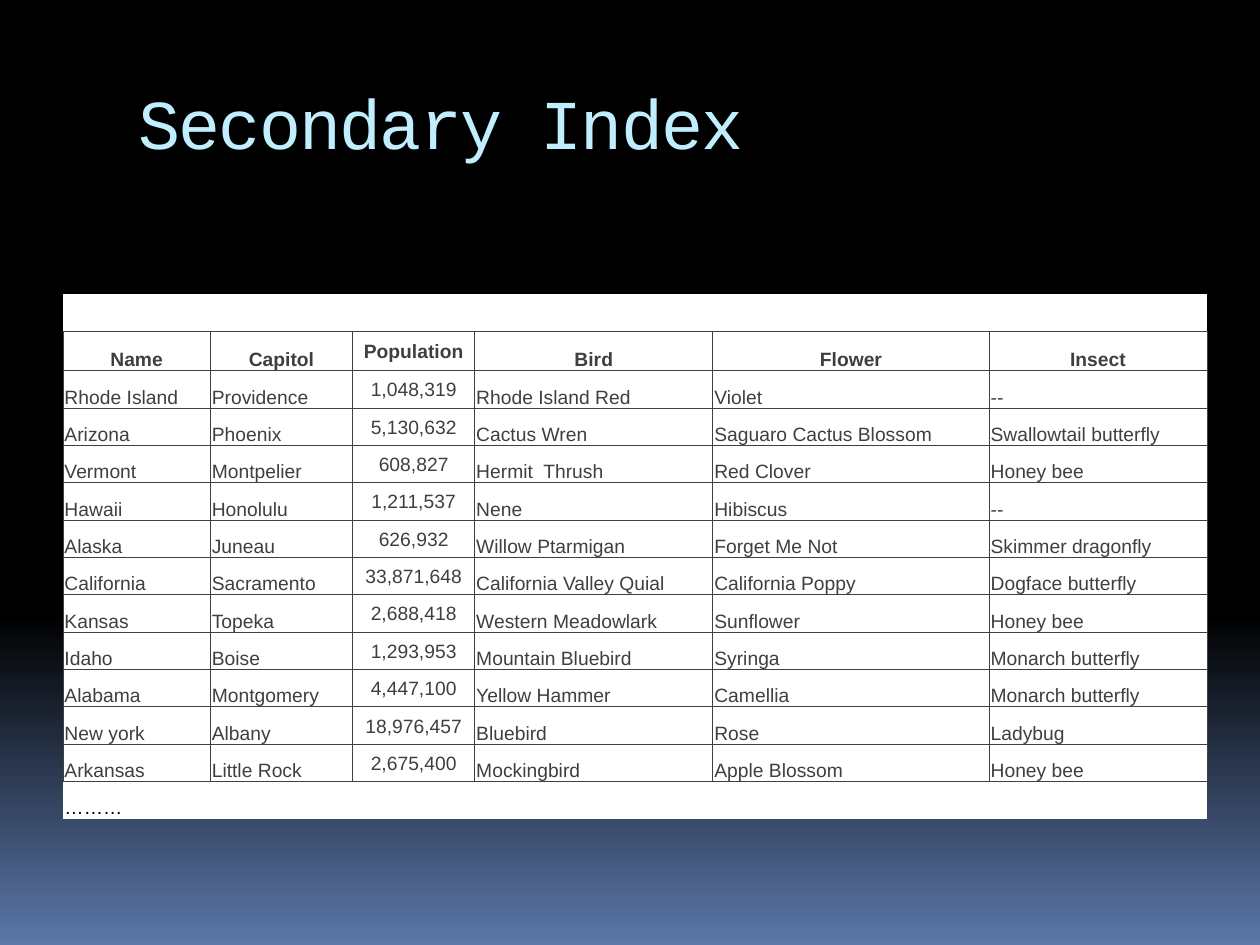
import pptx
import pptx.util
import pptx.dml.color
import pptx.enum.shapes
import pptx.enum.text
from lxml import etree
from pptx.oxml.ns import qn

Cm, Pt = pptx.util.Cm, pptx.util.Pt
ALIGN = pptx.enum.text.PP_ALIGN
ANCHOR = pptx.enum.text.MSO_ANCHOR
RECT = pptx.enum.shapes.MSO_SHAPE.RECTANGLE

COLORS = {"night": "000000", "dusk": "5B77A8", "title": "C1EEFF",
          "ink": "3F3F3F", "paper": "FFFFFF"}

HEAD = ["Name", "Capitol", "Population", "Bird", "Flower", "Insect"]
STATES = [
    ["Rhode Island", "Providence", "1,048,319", "Rhode Island Red", "Violet", "--"],
    ["Arizona", "Phoenix", "5,130,632", "Cactus Wren", "Saguaro Cactus Blossom",
     "Swallowtail butterfly"],
    ["Vermont", "Montpelier", "608,827", "Hermit  Thrush", "Red Clover", "Honey bee"],
    ["Hawaii", "Honolulu", "1,211,537", "Nene", "Hibiscus", "--"],
    ["Alaska", "Juneau", "626,932", "Willow Ptarmigan", "Forget Me Not",
     "Skimmer dragonfly"],
    ["California", "Sacramento", "33,871,648", "California Valley Quial",
     "California Poppy", "Dogface butterfly"],
    ["Kansas", "Topeka", "2,688,418", "Western Meadowlark", "Sunflower", "Honey bee"],
    ["Idaho", "Boise", "1,293,953", "Mountain Bluebird", "Syringa",
     "Monarch butterfly"],
    ["Alabama", "Montgomery", "4,447,100", "Yellow Hammer", "Camellia",
     "Monarch butterfly"],
    ["New york", "Albany", "18,976,457", "Bluebird", "Rose", "Ladybug"],
    ["Arkansas", "Little Rock", "2,675,400", "Mockingbird", "Apple Blossom",
     "Honey bee"],
]
WIDTHS = [2.97, 2.87, 2.46, 4.8, 5.57, 4.39]
POP = HEAD.index("Population")


def rgb(name):
    return pptx.dml.color.RGBColor.from_string(COLORS[name])


def write(frame, text, font="Arial", size=11, color="ink", bold=False,
          align=ALIGN.LEFT, track=None):
    para = frame.paragraphs[0]
    para.alignment = align
    if not text:
        etree.SubElement(para._p, qn("a:endParaRPr"), sz=str(size * 100))
        return
    run = para.add_run()
    run.text = text
    run.font.name, run.font.size, run.font.bold = font, Pt(size), bold
    run.font.color.rgb = rgb(color)
    if track is not None:
        run.font._element.set("spc", str(track * 100))


class Deck:
    def __init__(self):
        self.show = pptx.Presentation()
        self.show.slide_width, self.show.slide_height = Cm(25.4), Cm(19.05)
        self.slide = self.show.slides.add_slide(self.show.slide_layouts[6])

    def back(self, start, end, hold):
        fill = self.slide.background.fill
        fill.gradient()
        fill.gradient_angle = 270
        first, last = fill.gradient_stops
        first.color.rgb, first.position = rgb(start), hold
        last.color.rgb, last.position = rgb(end), 1

    def bar(self, left, top, width, height, color):
        bar = self.slide.shapes.add_shape(RECT, Cm(left), Cm(top), Cm(width), Cm(height))
        bar.shadow.inherit = False
        bar.fill.solid()
        bar.fill.fore_color.rgb = rgb(color)
        bar.line.fill.background()

    def title(self, text, left, top, width, height):
        box = self.slide.shapes.add_textbox(Cm(left), Cm(top), Cm(width), Cm(height))
        frame = box.text_frame
        frame.word_wrap = True
        frame.vertical_anchor = ANCHOR.TOP
        frame.margin_top = Cm(0.18)
        write(frame, text, font="Courier New", size=40, color="title", track=-1)

    def edge(self, cell, side, color):
        props = cell._tc.get_or_add_tcPr()
        line = etree.SubElement(props, qn("a:ln" + side), w=str(Pt(0.5)))
        if color:
            fill = etree.SubElement(line, qn("a:solidFill"))
            etree.SubElement(fill, qn("a:srgbClr"), val=COLORS[color])
        else:
            etree.SubElement(line, qn("a:noFill"))

    def cell(self, cell, text, sides, anchor, **style):
        for side in "LRTB":
            self.edge(cell, side, "ink" if side in sides else None)
        cell.fill.solid()
        cell.fill.fore_color.rgb = rgb("paper")
        cell.margin_left = cell.margin_right = cell.margin_top = Cm(0.03)
        cell.margin_bottom = 0
        cell.vertical_anchor = anchor
        write(cell.text_frame, text, **style)

    def table(self, rows, widths, left, top, height, head):
        frame = self.slide.shapes.add_table(
            len(rows), len(widths), Cm(left), Cm(top), Cm(sum(widths)), Cm(height))
        grid = frame.table
        grid.first_row = grid.horz_banding = False
        for col, width in zip(grid.columns, widths):
            col.width = Cm(width)
        end = len(rows) - 1
        high = (height - head) / end
        for r, row in enumerate(rows):
            grid.rows[r].height = Cm(head if r == 1 else high)
            # The first and last rows touch the ruled grid on one side only
            sides = {0: "B", end: "T"}.get(r, "LRTB")
            for c, text in enumerate(row):
                mid = 0 < r < end and c == POP
                self.cell(grid.cell(r, c), text, sides,
                          ANCHOR.MIDDLE if mid else ANCHOR.BOTTOM,
                          bold=r == 1, color="night" if r == end else "ink",
                          align=ALIGN.CENTER if mid or r == 1 else ALIGN.LEFT)


deck = Deck()

# Background, bars beside the title, and title
deck.back("night", "dusk", 0.65)
for left, width in [(0.86, 0.13), (0.74, 0.08), (0.69, 0.03), (0.61, 0.03)]:
    deck.bar(left, 1.88, width, 1.02, "night")
deck.title("Secondary Index", 2.54, 1.42, 21.59, 2.54)

# Table of states, with a blank row above and a trailing row below
blank = [""] * len(HEAD)
rows = [blank, HEAD, *STATES, ["………"] + blank[1:]]
deck.table(rows, WIDTHS, left=1.27, top=5.93, height=10.58, head=0.79)

deck.show.save("out.pptx")
